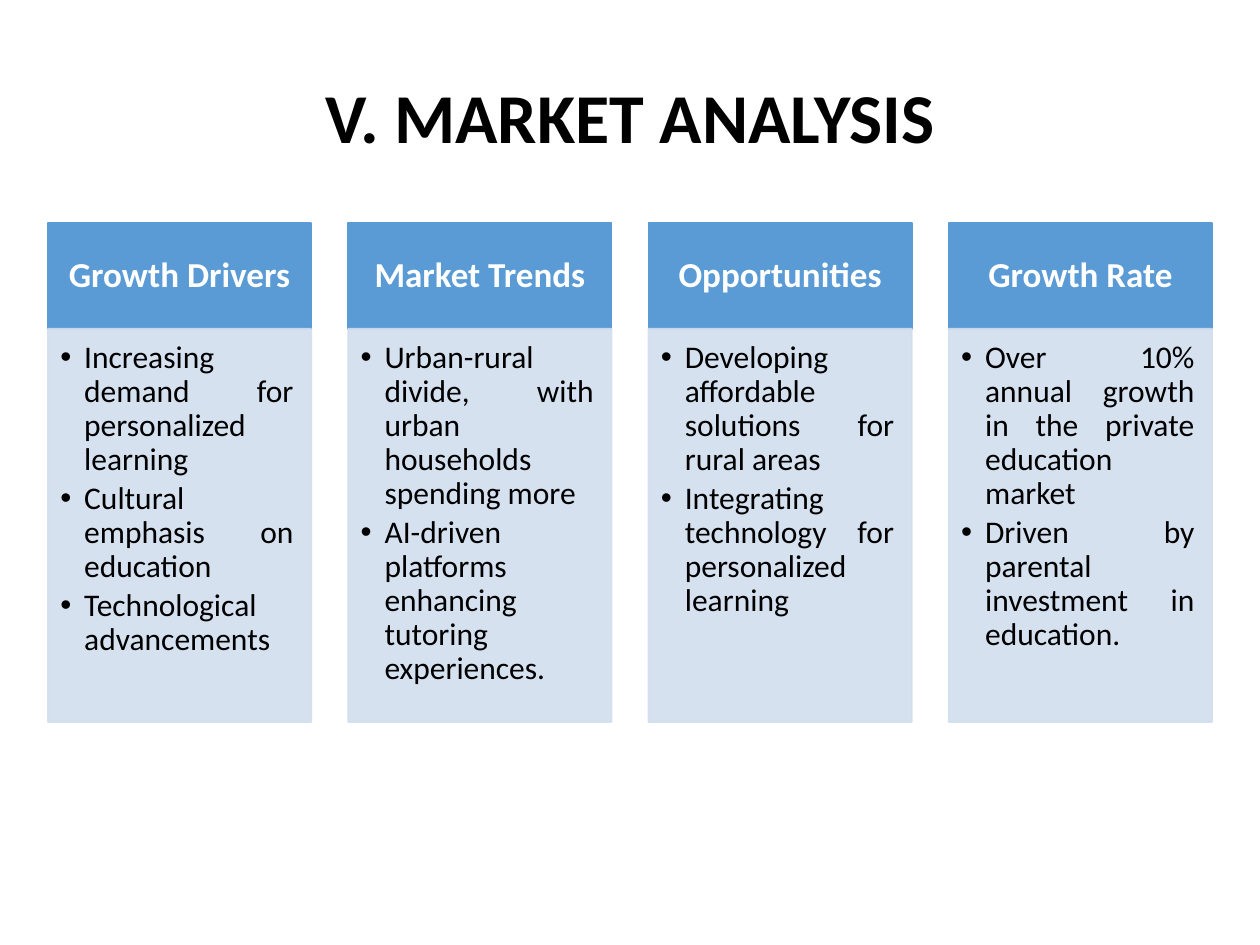
from lxml import etree
from pptx import Presentation
from pptx.dml.color import RGBColor
from pptx.enum.shapes import MSO_SHAPE
from pptx.enum.text import MSO_ANCHOR, MSO_AUTO_SIZE, PP_ALIGN
from pptx.oxml.ns import qn
from pptx.util import Inches, Pt

RECT = MSO_SHAPE.RECTANGLE
TOP, MIDDLE, BOTTOM = MSO_ANCHOR.TOP, MSO_ANCHOR.MIDDLE, MSO_ANCHOR.BOTTOM
CENTER, JUSTIFY = PP_ALIGN.CENTER, PP_ALIGN.JUSTIFY
NO_FIT = MSO_AUTO_SIZE.NONE

FONT = "Calibri"
BLUE, PALE, BLACK, WHITE = "5B9BD5", "D2DEEF", "000000", "FFFFFF"
GRID = (0.38, 1.77, 9.24, 3.96)
COLUMN_W, HEADER_H = 2.09, 0.84
COLUMNS = [
    ("Growth Drivers", [
        "Increasing demand for personalized learning",
        "Cultural emphasis on education",
        "Technological advancements"]),
    ("Market Trends", [
        "Urban-rural divide, with urban households spending more",
        "AI-driven platforms enhancing tutoring experiences."]),
    ("Opportunities", [
        "Developing affordable solutions for rural areas",
        "Integrating technology for personalized learning"]),
    ("Growth Rate", [
        "Over 10% annual growth in the private education market",
        "Driven by parental investment in education."]),
]


def rgb(color):
    """Turn a hex string into a colour."""
    return RGBColor.from_string(color)


def set_frame(tf, anchor, insets):
    """Wrap a text frame and set its anchor and insets in inches."""
    tf.word_wrap = True
    tf.auto_size = NO_FIT
    tf.vertical_anchor = anchor
    tf.margin_left, tf.margin_top, tf.margin_right, tf.margin_bottom = map(Inches, insets)


def add_text(p, text, size, color, align, bold=False):
    """Fill one paragraph with a formatted run."""
    p.alignment = align
    p.line_spacing = 0.9
    p.space_before = Pt(0)
    r = p.add_run()
    r.text = text
    r.font.name, r.font.size, r.font.bold = FONT, Pt(size), bold
    r.font.color.rgb = rgb(color)


def add_bullet(p, indent):
    """Give a paragraph a hanging round bullet."""
    pPr = p._p.get_or_add_pPr()
    pPr.set("marL", str(Inches(indent)))
    pPr.set("indent", str(-Inches(indent)))
    etree.SubElement(pPr, qn("a:buFont"), typeface="Arial")
    etree.SubElement(pPr, qn("a:buChar"), char="•")


def add_panel(s, box, color, alpha=100):
    """Add a rectangle with fill and line of one colour and opacity."""
    sp = s.shapes.add_shape(RECT, *map(Inches, box))
    sp.shadow.inherit = False
    sp.fill.solid()
    sp.fill.fore_color.rgb = rgb(color)
    sp.line.color.rgb = rgb(color)
    sp.line.width = Pt(1)
    if alpha < 100:
        for clr in sp._element.spPr.iter(qn("a:srgbClr")):
            etree.SubElement(clr, qn("a:alpha"), val=str(alpha * 1000))
    return sp


def add_title(s, box, text):
    """Place the title placeholder in its box."""
    sp = s.shapes.title
    sp.left, sp.top, sp.width, sp.height = map(Inches, box)
    set_frame(sp.text_frame, BOTTOM, (0.1, 0.05, 0.1, 0.05))
    add_text(sp.text_frame.paragraphs[0], text, 40, BLACK, CENTER, True)


def add_column(s, box, heading, items):
    """Stack a heading over its bullet list."""
    x, y, w, h = box
    tf = add_panel(s, (x, y, w, HEADER_H), BLUE).text_frame
    set_frame(tf, MIDDLE, (0.16, 0.09, 0.16, 0.09))
    add_text(tf.paragraphs[0], heading, 20, WHITE, CENTER, True)

    tf = add_panel(s, (x, y + HEADER_H, w, h - HEADER_H), PALE, 90).text_frame
    set_frame(tf, TOP, (0.1, 0.1, 0.14, 0.16))
    for i, item in enumerate(items):
        p = tf.add_paragraph() if i else tf.paragraphs[0]
        p.level = 1
        add_bullet(p, 0.19)
        add_text(p, item, 18, BLACK, JUSTIFY)
        p.space_after = Pt(2.7)


def add_columns(s, box, columns):
    """Spread the columns evenly across the box."""
    x, y, w, h = box
    pitch = (w - COLUMN_W) / (len(columns) - 1)
    for i, (heading, items) in enumerate(columns):
        add_column(s, (x + i * pitch, y, COLUMN_W, h), heading, items)


def main():
    """Build and save the slide."""
    prs = Presentation()
    prs.slide_width, prs.slide_height = Inches(10), Inches(7.5)
    s = prs.slides.add_slide(prs.slide_layouts[5])
    add_title(s, (1.77, 0.51, 6.46, 0.8), "V. MARKET ANALYSIS")
    add_columns(s, GRID, COLUMNS)
    prs.save("out.pptx")


if __name__ == "__main__":
    main()
